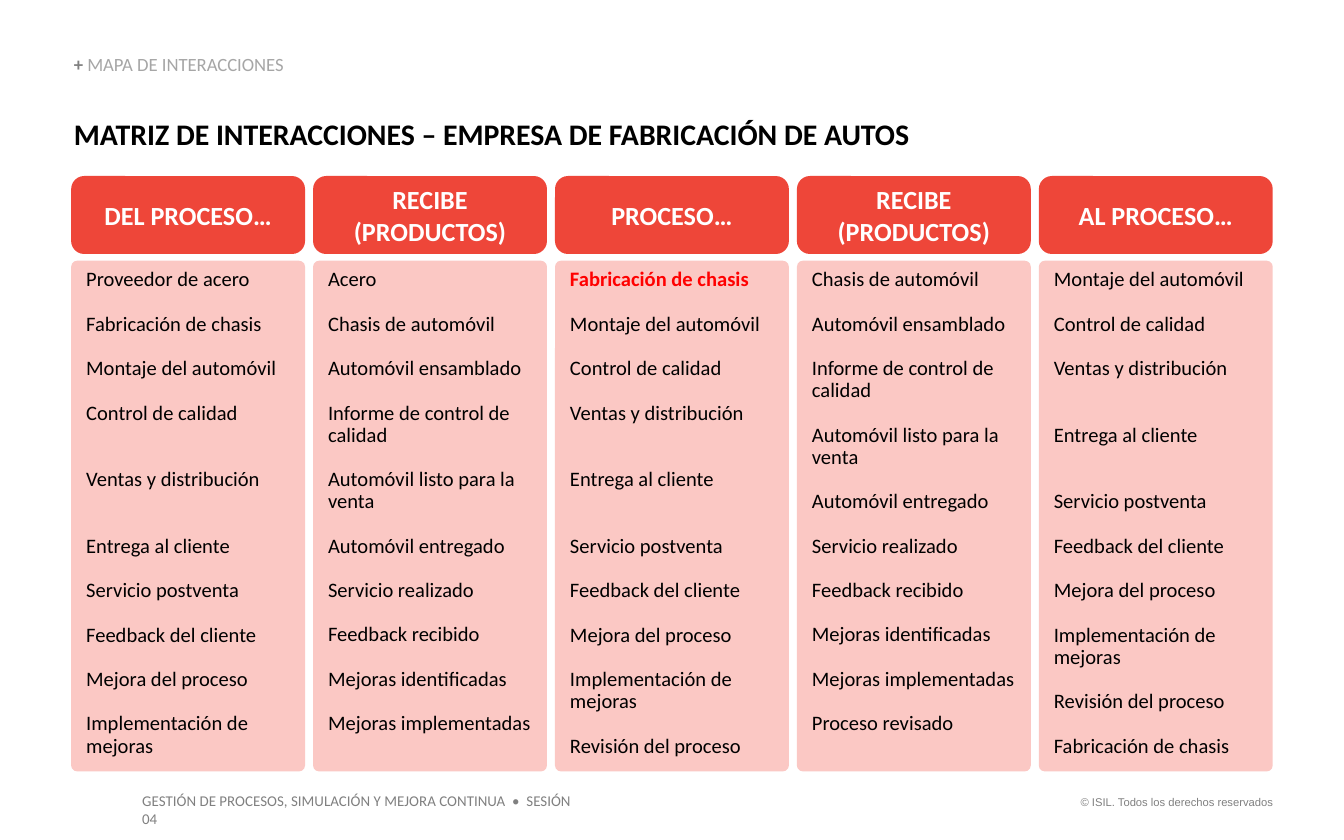
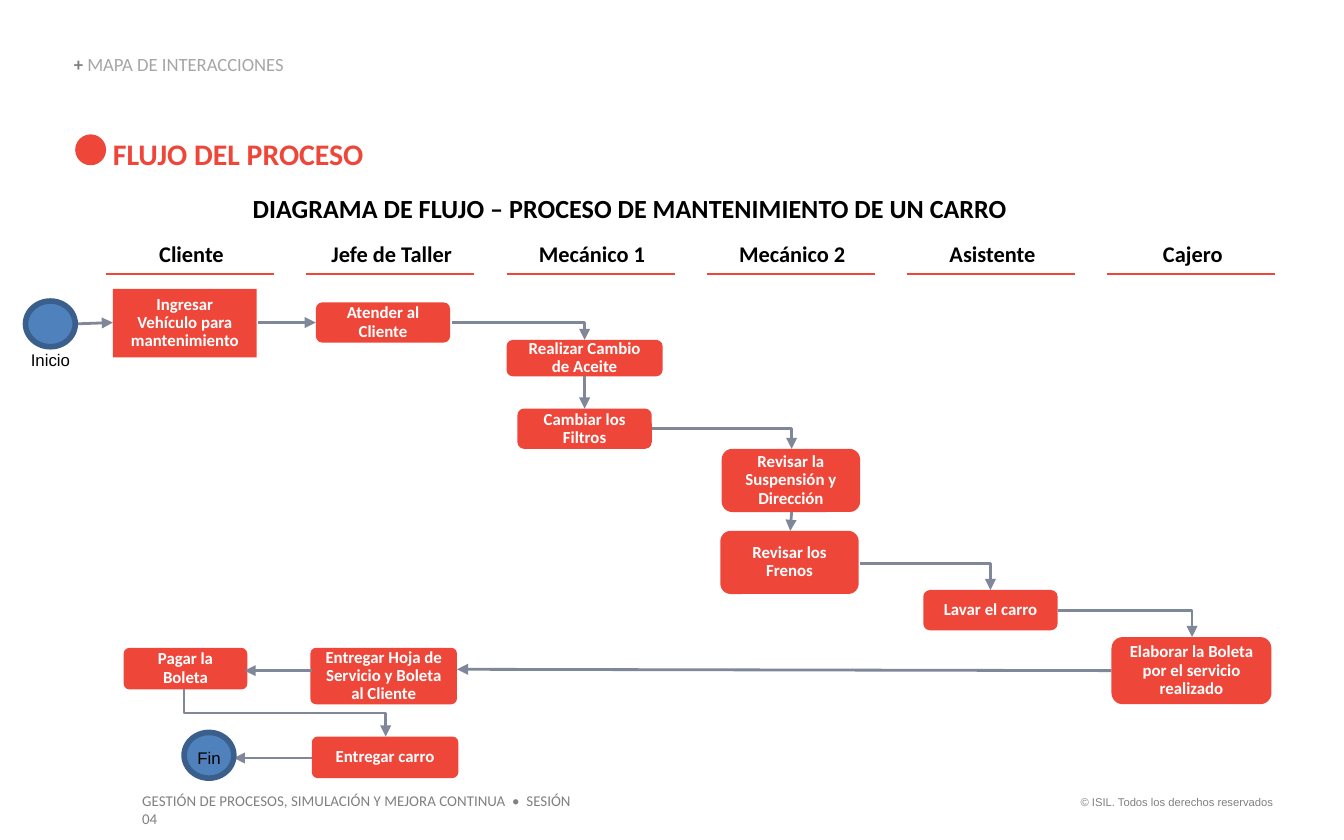
"""Builds the interaction matrix and the car maintenance flow slides."""

import dataclasses

import lxml.etree
import pptx
import pptx.dml.color
import pptx.enum.shapes
import pptx.enum.text
import pptx.oxml.ns
import pptx.util

ALIGN = pptx.enum.text.PP_ALIGN
ANCHOR = pptx.enum.text.MSO_ANCHOR
SHAPE = pptx.enum.shapes.MSO_SHAPE
CONNECTOR = pptx.enum.shapes.MSO_CONNECTOR
PX_PER_INCH = 100


@dataclasses.dataclass(frozen=True)
class Theme:
    """Colours, fonts and type sizes."""

    red: str = "EE4639"
    pink: str = "FBC8C4"
    alert: str = "FF0000"
    blue: str = "4F81BD"
    navy: str = "3A5F8C"
    slate: str = "808799"
    gray: str = "808080"
    silver: str = "A6A6A6"
    black: str = "000000"
    white: str = "FFFFFF"
    font: str = "Calibri"
    plain_font: str = "Arial"
    title: int = 16
    heading: int = 14
    lane: int = 12
    body: int = 11
    section: int = 10
    step: int = 9
    footer: int = 8
    rights: int = 6


THEME = Theme()


def px(length):
    """Turns px into EMU."""
    return pptx.util.Emu(round(length * pptx.util.Inches(1) / PX_PER_INCH))


def rgb(color):
    """Turns a hex string into a colour."""
    return pptx.dml.color.RGBColor.from_string(color)


def write(para, text, size=THEME.body, color=THEME.black, bold=False,
          font=THEME.font, align=ALIGN.LEFT, spacing=None, before=0):
    """Adds formatted text to a paragraph."""
    para.alignment = align
    if spacing:
        para.line_spacing = spacing
    if before:
        para.space_before = pptx.util.Pt(before)
    span = para.add_run()
    span.text = text
    span.font.size = pptx.util.Pt(size)
    span.font.bold = bold
    span.font.name = font
    span.font.color.rgb = rgb(color)


class Composer:
    """Holds the theme and the current page and draws each kind of element."""

    def __init__(self, deck, theme):
        self.deck = deck
        self.theme = theme
        self.page = None

    def start(self, title, left, top, width, color):
        theme = self.theme
        self.page = self.deck.slides.add_slide(self.deck.slide_layouts[5])
        box = self.page.shapes.title
        box.left, box.top, box.width, box.height = map(px, (left, top, width, 27))
        self.fill_frame(box, title, size=theme.title, color=color, bold=True,
                        align=ALIGN.JUSTIFY)
        self.label("© ISIL. Todos los derechos reservados", 788, 587, 169, 20,
                   margins=(10, 5), size=theme.rights, color=theme.gray,
                   font=theme.plain_font, align=ALIGN.RIGHT)
        self.label("GESTIÓN DE PROCESOS, SIMULACIÓN Y MEJORA CONTINUA  •  SESIÓN 04",
                   96, 584, 350, 24, margins=(10, 5), size=theme.footer,
                   color=theme.gray)
        section = self.label("+ ", 55, 41, 266, 15, anchor=ANCHOR.BOTTOM,
                             size=theme.section, color=theme.gray, bold=True)
        write(section.text_frame.paragraphs[0], "MAPA DE INTERACCIONES",
              size=theme.section, color=theme.silver, spacing=0.9)

    def fill_frame(self, box, text, margins=(0, 0), anchor=ANCHOR.TOP, **style):
        frame = box.text_frame
        frame.word_wrap = True
        frame.auto_size = pptx.enum.text.MSO_AUTO_SIZE.NONE
        frame.vertical_anchor = anchor
        frame.margin_left = frame.margin_right = px(margins[0])
        frame.margin_top = frame.margin_bottom = px(margins[1])
        for index, line in enumerate(text.split("\n")):
            para = frame.add_paragraph() if index else frame.paragraphs[0]
            write(para, line, **style)

    def label(self, text, left, top, width, height, **style):
        box = self.page.shapes.add_textbox(*map(px, (left, top, width, height)))
        self.fill_frame(box, text, **style)
        return box

    def shape(self, kind, left, top, width, height, fill, line=None):
        shape = self.page.shapes.add_shape(kind, *map(px, (left, top, width, height)))
        shape.shadow.inherit = False
        shape.fill.solid()
        shape.fill.fore_color.rgb = rgb(fill)
        if line:
            shape.line.color.rgb = rgb(line)
            shape.line.width = pptx.util.Pt(3)
        else:
            shape.line.fill.background()
        return shape

    def card(self, text, left, top, width, height, radius=0.167, **style):
        card = self.shape(SHAPE.ROUNDED_RECTANGLE, left, top, width, height,
                          self.theme.red)
        card.adjustments[0] = radius
        self.fill_frame(card, text, margins=(10, 5), anchor=ANCHOR.MIDDLE,
                        color=self.theme.white, bold=True, align=ALIGN.CENTER, **style)

    def column(self, entries, left, top, width, height, wide_gaps, highlight):
        column = self.shape(SHAPE.ROUNDED_RECTANGLE, left, top, width, height,
                            self.theme.pink)
        column.adjustments[0] = 0.026
        self.fill_frame(column, "\n".join(entries), margins=(10, 5), spacing=0.9)
        for index, para in enumerate(column.text_frame.paragraphs):
            if index:
                para.space_before = pptx.util.Pt(23.8 if index in wide_gaps else 11.9)
            if index == highlight:
                para.runs[0].font.bold = True
                para.runs[0].font.color.rgb = rgb(self.theme.alert)

    def line(self, start, end, color, weight, kind=CONNECTOR.STRAIGHT, arrow=False):
        line = self.page.shapes.add_connector(kind, *map(px, (*start, *end)))
        line.line.color.rgb = rgb(color)
        line.line.width = pptx.util.Pt(weight)
        qn = pptx.oxml.ns.qn
        properties = line._element.spPr
        if arrow:
            lxml.etree.SubElement(properties.find(qn("a:ln")), qn("a:tailEnd"),
                                  type="triangle")
        lxml.etree.SubElement(properties, qn("a:effectLst"))
        return properties

    def arrow(self, start, end, kind=CONNECTOR.STRAIGHT):
        return self.line(start, end, self.theme.slate, 1.5, kind, arrow=True)

    def corner_arrow(self, start, end):
        properties = self.arrow(start, end, CONNECTOR.ELBOW)
        properties.find(pptx.oxml.ns.qn("a:prstGeom")).set("prst", "bentConnector2")

    def drop_arrow(self, start, end):
        middle_x, middle_y = (start[0] + end[0]) / 2, (start[1] + end[1]) / 2
        half_width, half_height = (end[1] - start[1]) / 2, (end[0] - start[0]) / 2
        properties = self.arrow((middle_x + half_width, middle_y - half_height),
                                (middle_x - half_width, middle_y + half_height),
                                CONNECTOR.ELBOW)
        properties.xfrm.set("rot", str(270 * 60000))


PROCESSES = [
    "Proveedor de acero", "Fabricación de chasis", "Montaje del automóvil",
    "Control de calidad", "Ventas y distribución", "Entrega al cliente",
    "Servicio postventa", "Feedback del cliente", "Mejora del proceso",
    "Implementación de mejoras", "Revisión del proceso", "Fabricación de chasis",
]
PRODUCTS = [
    "Acero", "Chasis de automóvil", "Automóvil ensamblado",
    "Informe de control de calidad", "Automóvil listo para la venta",
    "Automóvil entregado", "Servicio realizado", "Feedback recibido",
    "Mejoras identificadas", "Mejoras implementadas", "Proceso revisado",
]
MATRIX = [
    ("DEL PROCESO…", PROCESSES[:10], (4, 5), None),
    ("RECIBE (PRODUCTOS)", PRODUCTS[:10], (), None),
    ("PROCESO…", PROCESSES[1:11], (4, 5), 0),
    ("RECIBE (PRODUCTOS)", PRODUCTS[1:], (), None),
    ("AL PROCESO…", PROCESSES[2:], (3, 4), None),
]
LANES = ["Cliente", "Jefe de Taller", "Mecánico 1", "Mecánico 2", "Asistente", "Cajero"]
STEPS = [
    ("Revisar la\nSuspensión y Dirección", 537, 334, 103, 47, 0.167),
    ("Revisar los Frenos", 536, 395, 103, 47, 0.167),
    ("Ingresar Vehículo para mantenimiento", 84, 215, 107, 51, 0),
    ("Atender al Cliente", 235, 225, 100, 30, 0.167),
    ("Realizar Cambio de Aceite", 377, 253, 116, 27, 0.167),
    ("Cambiar los Filtros", 385, 304, 100, 30, 0.167),
    ("Lavar el carro", 687, 439, 100, 30, 0.167),
    ("Elaborar la Boleta por el servicio realizado", 827, 474, 119, 50, 0.167),
    ("Entregar Hoja de Servicio y Boleta al Cliente", 231, 482, 109, 42, 0.1),
    ("Entregar carro", 232, 548, 109, 31, 0.14),
    ("Pagar la Boleta", 92, 482, 92, 31, 0.14),
]
STRAIGHT_ARROWS = [
    ((232, 564), (174, 564)), ((232, 499), (182, 499)), ((827, 499), (340, 498)),
    ((589, 381), (588, 395)), ((435, 280), (435, 304)), ((192, 240), (235, 240)),
    ((56, 241), (84, 240)),
]
CORNER_ARROWS = [
    ((787, 454), (887, 474)), ((640, 419), (737, 439)),
    ((485, 319), (589, 334)), ((336, 240), (435, 253)),
]
TERMINALS = [("Inicio", 19, 224, 255), ("Fin", 137, 545, 551)]


def build_matrix(composer):
    """Draws the interaction matrix."""
    composer.start("MATRIZ DE INTERACCIONES – EMPRESA DE FABRICACIÓN DE AUTOS",
                   55, 86, 879, composer.theme.black)
    for index, (heading, entries, wide_gaps, highlight) in enumerate(MATRIX):
        left = 53 + 180 * index
        composer.card(heading, left, 131, 174, 58, size=composer.theme.heading)
        composer.column(entries, left, 194, 174, 380, wide_gaps, highlight)


def build_flow(composer):
    """Draws the flow chart of the car maintenance process."""
    theme = composer.theme
    composer.start("FLUJO DEL PROCESO", 84, 101, 409, theme.red)
    composer.shape(SHAPE.OVAL, 56, 100, 23, 23, theme.red)
    composer.label("DIAGRAMA DE FLUJO – PROCESO DE MANTENIMIENTO DE UN CARRO",
                   188, 143, 608, 24, size=theme.heading, bold=True)
    for text, left, top, width, height, radius in STEPS:
        composer.card(text, left, top, width, height, radius, size=theme.step,
                      spacing=0.9)
    for start, end in STRAIGHT_ARROWS:
        composer.arrow(start, end)
    for start, end in CORNER_ARROWS:
        composer.corner_arrow(start, end)
    composer.drop_arrow((137, 513), (287, 548))
    for index, lane in enumerate(LANES):
        left = 79 + 149 * index
        composer.label(lane, left + 15, 179, 97, 20, size=theme.lane, bold=True,
                       align=ALIGN.CENTER)
        composer.line((left, 204), (left + 125, 204), theme.red, 1)
    for text, left, top, label_top in TERMINALS:
        composer.shape(SHAPE.OVAL, left, top, 37, 34, theme.blue, theme.navy)
        composer.label(text, left - 6, label_top, 49, 25, anchor=ANCHOR.MIDDLE,
                       size=theme.step, font=theme.plain_font, align=ALIGN.CENTER)


def main():
    """Builds and saves the deck."""
    deck = pptx.Presentation()
    deck.slide_width, deck.slide_height = px(1000), px(625)
    composer = Composer(deck, THEME)
    build_matrix(composer)
    build_flow(composer)
    deck.save("out.pptx")


if __name__ == "__main__":
    main()
